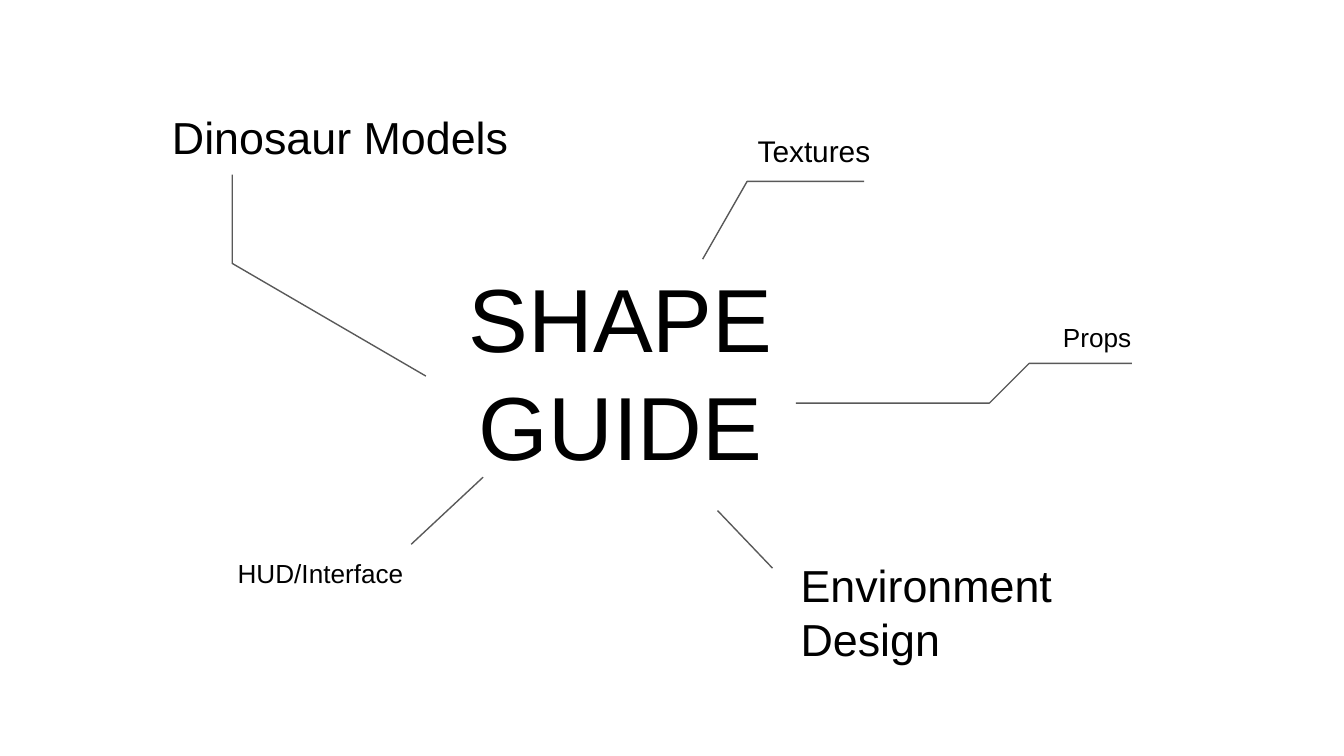
from dataclasses import dataclass

import pptx
import pptx.dml.color
import pptx.enum.shapes
import pptx.enum.text
import pptx.oxml
import pptx.util
from pptx.util import Cm

FONT = "Arial"
TEXT = "000000"
LINE = "595959"
Point = tuple[float, float]


@dataclass
class Label:
    text: str
    left: float
    top: float
    width: float
    height: float
    size: int


# All lengths in centimetres, sizes in points
TITLE = Label("SHAPE\nGUIDE", 8.43, 4.72, 6.6, 4.5, 48)
LABELS = [
    Label("Dinosaur Models", 3, 1.83, 7.67, 1.19, 24),
    Label("Textures", 14.07, 2.26, 3.12, 1.19, 16),
    Label("Environment\nDesign", 14.88, 10.29, 5.31, 2.03, 24),
    Label("HUD/Interface", 4.24, 10.29, 3.89, 1.07, 14),
    Label("Props", 19.84, 5.82, 2.13, 0.89, 14),
]
STRAIGHT_LEADERS = [
    [(13.56, 9.65), (14.6, 10.74)],
    [(9.13, 9.02), (7.77, 10.29)],
]
BENT_LEADERS = [
    [(8.05, 7.11), (4.39, 4.98), (4.39, 3.3)],
    [(15.04, 7.62), (18.7, 7.62), (19.45, 6.87), (21.39, 6.87)],
    [(13.28, 4.9), (14.12, 3.43), (16.33, 3.43)],
]


def rgb(color: str) -> pptx.dml.color.RGBColor:
    return pptx.dml.color.RGBColor.from_string(color)


def fill_text(sp, label: Label, align) -> None:
    tf = sp.text_frame
    tf.text = label.text
    tf.word_wrap = True
    tf.auto_size = pptx.enum.text.MSO_AUTO_SIZE.NONE
    tf.vertical_anchor = pptx.enum.text.MSO_ANCHOR.TOP
    tf.margin_left = tf.margin_right = Cm(0.25)
    tf.margin_top = tf.margin_bottom = Cm(0.25)
    for p in tf.paragraphs:
        p.alignment = align
        p.font.name = FONT
        p.font.size = pptx.util.Pt(label.size)
        p.font.color.rgb = rgb(TEXT)


def add_title(s, label: Label) -> None:
    sp = s.shapes.title
    sp.left, sp.top = Cm(label.left), Cm(label.top)
    sp.width, sp.height = Cm(label.width), Cm(label.height)
    fill_text(sp, label, pptx.enum.text.PP_ALIGN.CENTER)


def add_label(s, label: Label) -> None:
    sp = s.shapes.add_textbox(Cm(label.left), Cm(label.top),
                              Cm(label.width), Cm(label.height))
    fill_text(sp, label, pptx.enum.text.PP_ALIGN.LEFT)


def style_line(sp) -> None:
    sp.line.color.rgb = rgb(LINE)
    sp.line.width = pptx.util.Pt(0.75)


def add_straight_leader(s, points: list[Point]) -> None:
    (x1, y1), (x2, y2) = points
    sp = s.shapes.add_connector(pptx.enum.shapes.MSO_CONNECTOR.STRAIGHT,
                                Cm(x1), Cm(y1), Cm(x2), Cm(y2))
    style_line(sp)
    # An empty effect list removes the theme shadow
    effects = pptx.oxml.parse_xml(
        '<a:effectLst xmlns:a="http://schemas.openxmlformats.org/drawingml/2006/main"/>')
    sp._element.spPr.append(effects)


def add_bent_leader(s, points: list[Point]) -> None:
    start, *rest = [(Cm(x), Cm(y)) for x, y in points]
    builder = s.shapes.build_freeform(*start)
    builder.add_line_segments(rest, close=False)
    sp = builder.convert_to_shape()
    sp.fill.background()
    sp.shadow.inherit = False
    style_line(sp)


def main() -> None:
    prs = pptx.Presentation()
    prs.slide_width, prs.slide_height = Cm(25.4), Cm(14.29)
    s = prs.slides.add_slide(prs.slide_layouts.get_by_name("Title Only"))

    # Central title and the topics around it
    add_title(s, TITLE)
    for label in LABELS:
        add_label(s, label)

    # Leader lines from the title to the topics
    for points in STRAIGHT_LEADERS:
        add_straight_leader(s, points)
    for points in BENT_LEADERS:
        add_bent_leader(s, points)

    prs.save("out.pptx")


if __name__ == "__main__":
    main()
